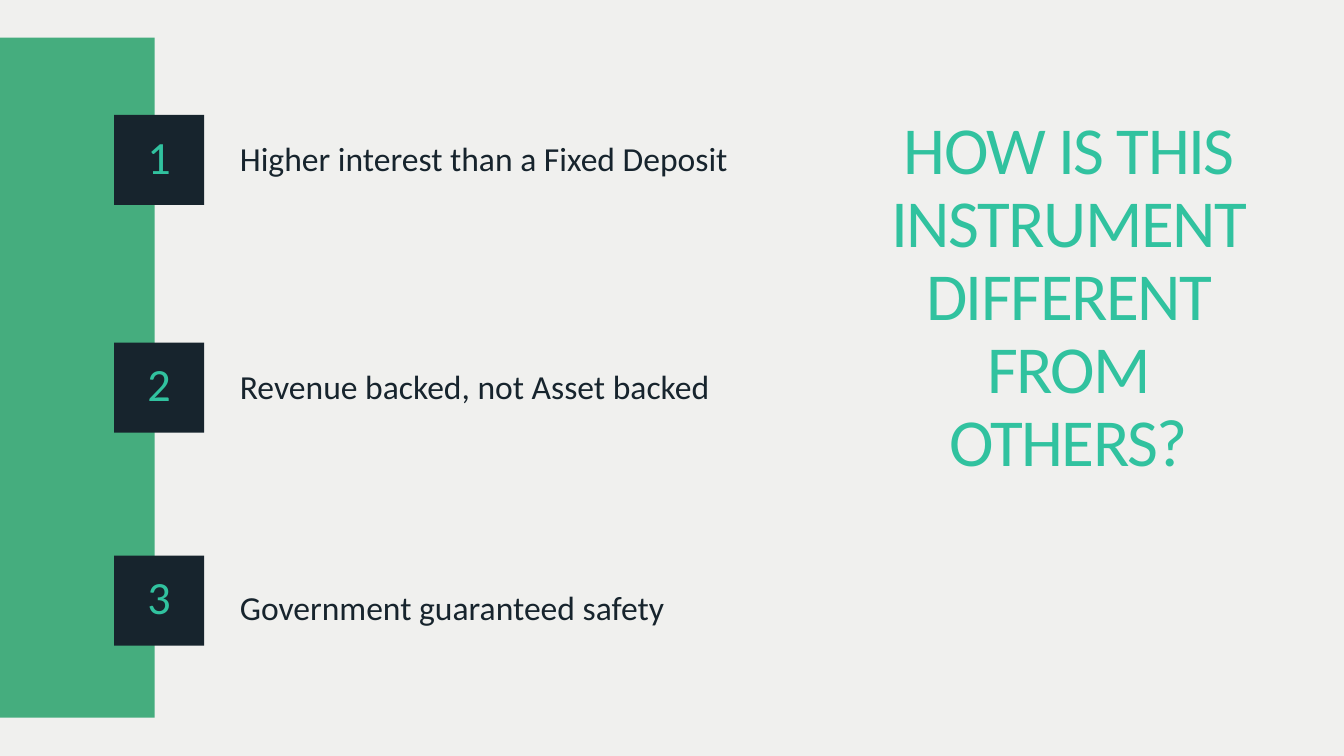
import pptx
import pptx.dml.color
import pptx.enum.shapes
import pptx.enum.text
import pptx.util

Pt = pptx.util.Pt
ALIGN = pptx.enum.text.PP_ALIGN
PAPER, GREEN, DARK, MINT = "F0F0EE", "45AD7E", "17242D", "31C29F"
SIDE = 96.5
ITEMS = [
    (123.1, 149, 85, "Higher interest than a Fixed Deposit"),
    (367.2, 393.1, 42.5, "Revenue backed, not Asset backed"),
    (595.4, 630, 42.5, "Government guaranteed safety"),
]


def paint(target, color):
    """Set a fill or font colour from a hex string."""
    target.rgb = pptx.dml.color.RGBColor.from_string(color)


def block(slide, box, color):
    """Draw a plain filled rectangle."""
    kind = pptx.enum.shapes.MSO_SHAPE.RECTANGLE
    shape = slide.shapes.add_shape(kind, *map(Pt, box))
    shape.shadow.inherit = False
    shape.fill.solid()
    paint(shape.fill.fore_color, color)
    shape.line.fill.background()


def write(slide, box, text, size, lead, color, align=ALIGN.LEFT, track=0):
    """Place one run of text in a box without margins."""
    frame = slide.shapes.add_textbox(*map(Pt, box)).text_frame
    frame.word_wrap = True
    frame.auto_size = pptx.enum.text.MSO_AUTO_SIZE.SHAPE_TO_FIT_TEXT
    frame.margin_left = frame.margin_right = 0
    frame.margin_top = frame.margin_bottom = 0
    para = frame.paragraphs[0]
    para.alignment = align
    para.line_spacing = Pt(lead)
    run = para.add_run()
    run.text = text
    run.font.name = "Calibri"
    run.font.size = Pt(size)
    paint(run.font.color, color)
    if track:
        run.font._element.set("spc", str(round(track * 100)))


def badge(slide, left, top, label):
    """Draw a dark square with a centred number."""
    block(slide, (left, top, SIDE, SIDE), DARK)
    box = (left + 15.2, top + 23.8, 65.5, 54)
    write(slide, box, label, 49.5, 49.5, MINT, ALIGN.CENTER, -1)


def points(slide, left):
    """Place the numbered points down the slide."""
    for num, (top, line, height, text) in enumerate(ITEMS, 1):
        badge(slide, left, top, str(num))
        box = (left + 134.6, line, 565.2, height)
        write(slide, box, text, 36, 41.6, DARK)


def main():
    """Build and save the slide."""
    deck = pptx.Presentation()
    deck.slide_width, deck.slide_height = Pt(1440), Pt(810)
    slide = deck.slides.add_slide(deck.slide_layouts[6])
    slide.background.fill.solid()
    paint(slide.background.fill.fore_color, PAPER)
    title = "HOW IS THIS INSTRUMENT DIFFERENT FROM OTHERS?"
    write(slide, (923.8, 123.8, 442, 396), title, 72, 78, MINT, ALIGN.CENTER, -1.6)
    block(slide, (-4.3, 40.4, 170, 728.6), GREEN)
    points(slide, 122.4)
    deck.save("out.pptx")


if __name__ == "__main__":
    main()
